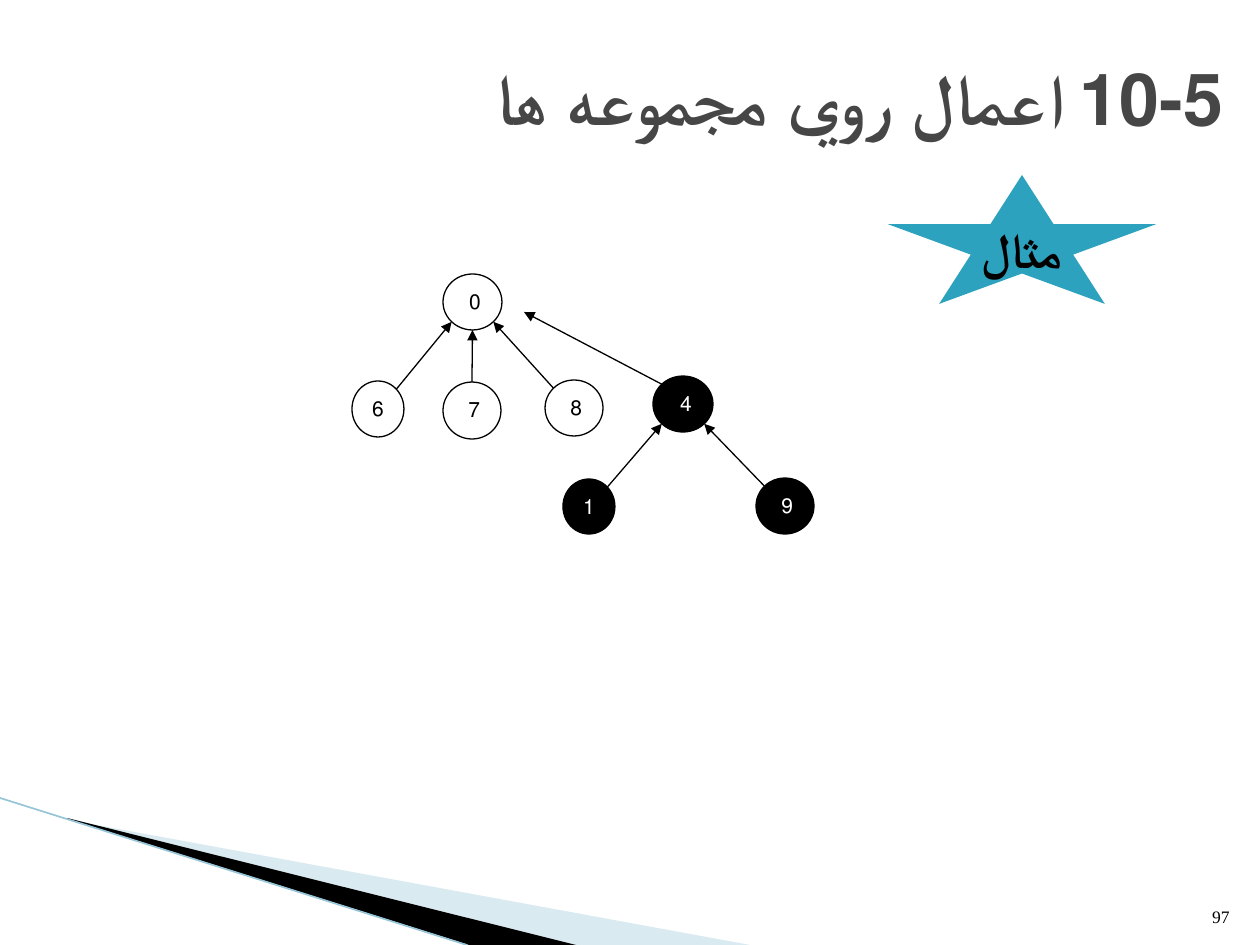
import math

import pptx
import pptx.dml.color
import pptx.enum.shapes
import pptx.enum.text
import pptx.oxml
import pptx.oxml.ns
import pptx.util
from lxml import etree

PX = 914400 / 126
SLIDE = (1260, 945)

THEME = {
    "title": ("Noto Sans Mono", 41, "464646"),
    "example": ("Times New Roman", 28, "000000"),
    "node": ("Times New Roman", 12),
    "number": ("Times New Roman", 10, "000000"),
    "star": "2DA2BF",
    "black": "000000",
    "white": "FFFFFF",
    "pale": "A0CBDC",
    "edge": "97C5D8",
    "line": 0.75,
}

TITLE = ("10-5 اعمال روي مجموعه ها", (25, 38, 1211, 117))
EXAMPLE = ("مثال", (888, 175, 268, 129))
NUMBER = ("97", (1192, 883, 50, 50))

SWOOSHES = [
    ([(69, 820), (750, 945), (575, 945), (69, 819)], "pale", 40),
    ([(67, 818), (576, 945), (469, 945), (68, 819)], "black", 100),
]
SWOOSH_EDGE = ((0, 798), (467, 945))

NODES = {
    "0": ((443, 274, 59, 56), "white"),
    "8": ((545, 380, 58, 56), "white"),
    "6": ((352, 381, 52, 56), "white"),
    "7": ((443, 382, 58, 57), "white"),
    "4": ((653, 376, 60, 56), "black"),
    "9": ((756, 478, 58, 56), "black"),
    "1": ((563, 479, 52, 55), "black"),
}
LINKS = [("6", 45, "0", 225), ("8", 135, "0", 315), ("7", 90, "0", 270),
         ("1", 45, "4", 225), ("9", 135, "4", 315)]
UNION = ("4", 135, (524, 312))


def emu(*lengths):
    return [round(length * PX) for length in lengths]


def rgb(color):
    return pptx.dml.color.RGBColor.from_string(color)


def write(frame, text, style, anchor, align="RIGHT", bold=False):
    face, size, color = style
    frame.vertical_anchor = getattr(pptx.enum.text.MSO_ANCHOR, anchor)
    frame.text = text
    paragraph = frame.paragraphs[0]
    paragraph.alignment = getattr(pptx.enum.text.PP_ALIGN, align)
    paragraph._p.get_or_add_pPr().set("rtl", "1")
    paragraph.font.name = face
    paragraph.font.size = pptx.util.Pt(size)
    paragraph.font.bold = bold
    paragraph.font.color.rgb = rgb(color)
    return paragraph


def paint(shape, fill, line=None):
    shape.shadow.inherit = False
    shape.fill.solid()
    shape.fill.fore_color.rgb = rgb(fill)
    if line:
        shape.line.color.rgb = rgb(line)
        shape.line.width = pptx.util.Pt(THEME["line"])
    else:
        shape.line.fill.background()


def add_line(slide, start, end, color, width, arrow=False):
    line = slide.shapes.add_connector(
        pptx.enum.shapes.MSO_CONNECTOR.STRAIGHT, *emu(*start, *end))
    line.line.color.rgb = rgb(color)
    line.line.width = pptx.util.Pt(width)
    if arrow:
        etree.SubElement(line.line._get_or_add_ln(),
                         pptx.oxml.ns.qn("a:tailEnd"), type="triangle")
    etree.SubElement(line._element.spPr, pptx.oxml.ns.qn("a:effectLst"))


def rim(node, degrees):
    left, top, width, height = NODES[node][0]
    angle = math.radians(degrees)
    return (left + width / 2 * (1 + math.cos(angle)),
            top + height / 2 * (1 - math.sin(angle)))


def add_swooshes(slide):
    for points, color, opacity in SWOOSHES:
        builder = slide.shapes.build_freeform(*points[0], scale=PX)
        builder.add_line_segments(points[1:], close=True)
        swoosh = builder.convert_to_shape()
        paint(swoosh, THEME[color])
        if opacity < 100:
            tint = swoosh._element.spPr.find(".//" + pptx.oxml.ns.qn("a:srgbClr"))
            etree.SubElement(tint, pptx.oxml.ns.qn("a:alpha"), val=str(opacity * 1000))
    add_line(slide, *SWOOSH_EDGE, THEME["edge"], 0.95)


def add_headings(slide):
    text, box = TITLE
    title = slide.shapes.title
    title.left, title.top, title.width, title.height = emu(*box)
    write(title.text_frame, text, THEME["title"], "MIDDLE", bold=True)

    text, box = EXAMPLE
    star = slide.shapes.add_shape(
        pptx.enum.shapes.MSO_SHAPE.STAR_5_POINT, *emu(*box))
    paint(star, THEME["star"])
    star.text_frame.word_wrap = False
    write(star.text_frame, text, THEME["example"], "MIDDLE", "CENTER", True)


def add_tree(slide):
    for label, (box, fill) in NODES.items():
        node = slide.shapes.add_shape(pptx.enum.shapes.MSO_SHAPE.OVAL, *emu(*box))
        paint(node, THEME[fill], THEME["black"])
        ink = THEME["white" if fill == "black" else "black"]
        write(node.text_frame, label, (*THEME["node"], ink), "TOP")
    arrows = [(rim(child, leave), rim(parent, reach))
              for child, leave, parent, reach in LINKS]
    child, leave, target = UNION
    arrows.append((rim(child, leave), target))
    for start, end in arrows:
        add_line(slide, start, end, THEME["black"], THEME["line"], arrow=True)


def add_number(slide):
    text, box = NUMBER
    number = slide.shapes.add_textbox(*emu(*box))
    number.text_frame.word_wrap = True
    paragraph = write(number.text_frame, text, THEME["number"], "BOTTOM")
    etree.SubElement(paragraph.font._element, pptx.oxml.ns.qn("a:cs"),
                     typeface=THEME["number"][0])
    run_font = paragraph.runs[0].font
    run_font.name = THEME["number"][0]
    etree.SubElement(run_font._element, pptx.oxml.ns.qn("a:cs"),
                     typeface=THEME["number"][0])


def main():
    deck = pptx.Presentation()
    deck.slide_width, deck.slide_height = emu(*SLIDE)
    slide = deck.slides.add_slide(deck.slide_layouts[5])
    add_swooshes(slide)
    add_headings(slide)
    add_tree(slide)
    add_number(slide)
    deck.save("out.pptx")


if __name__ == "__main__":
    main()
